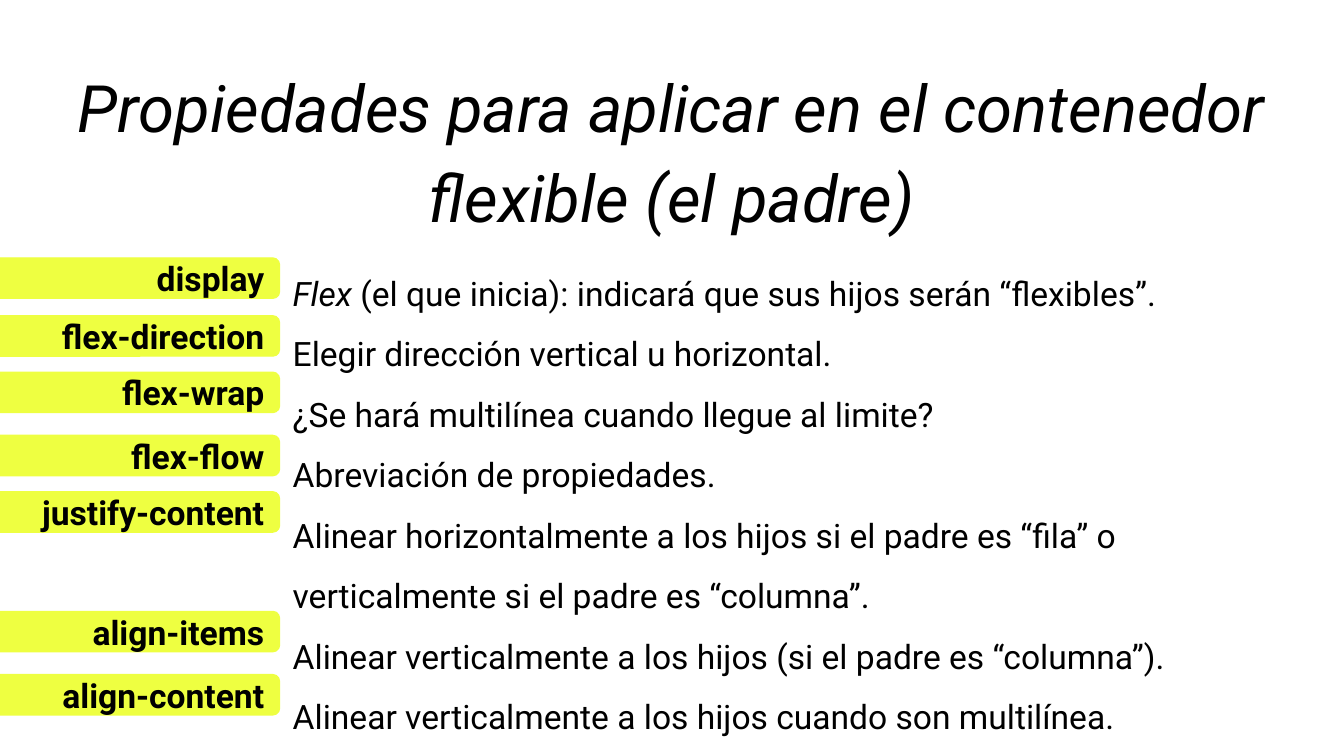
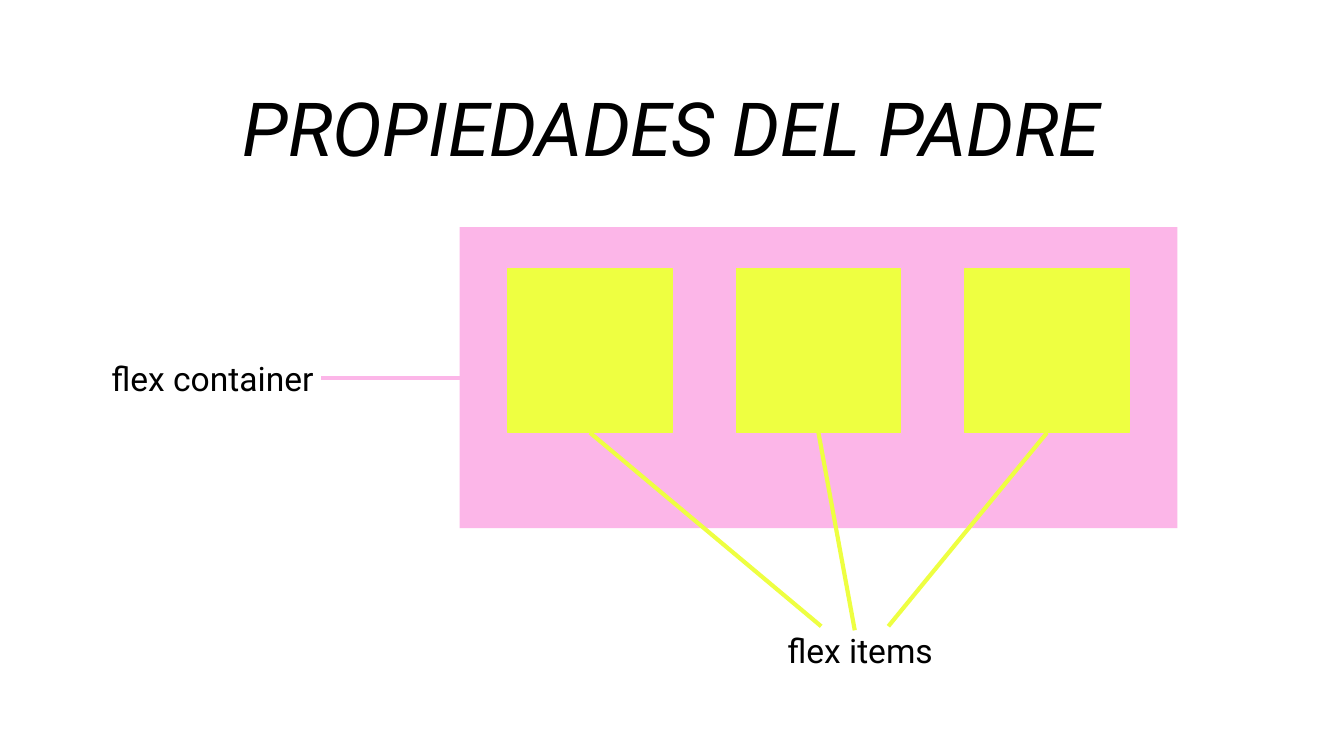
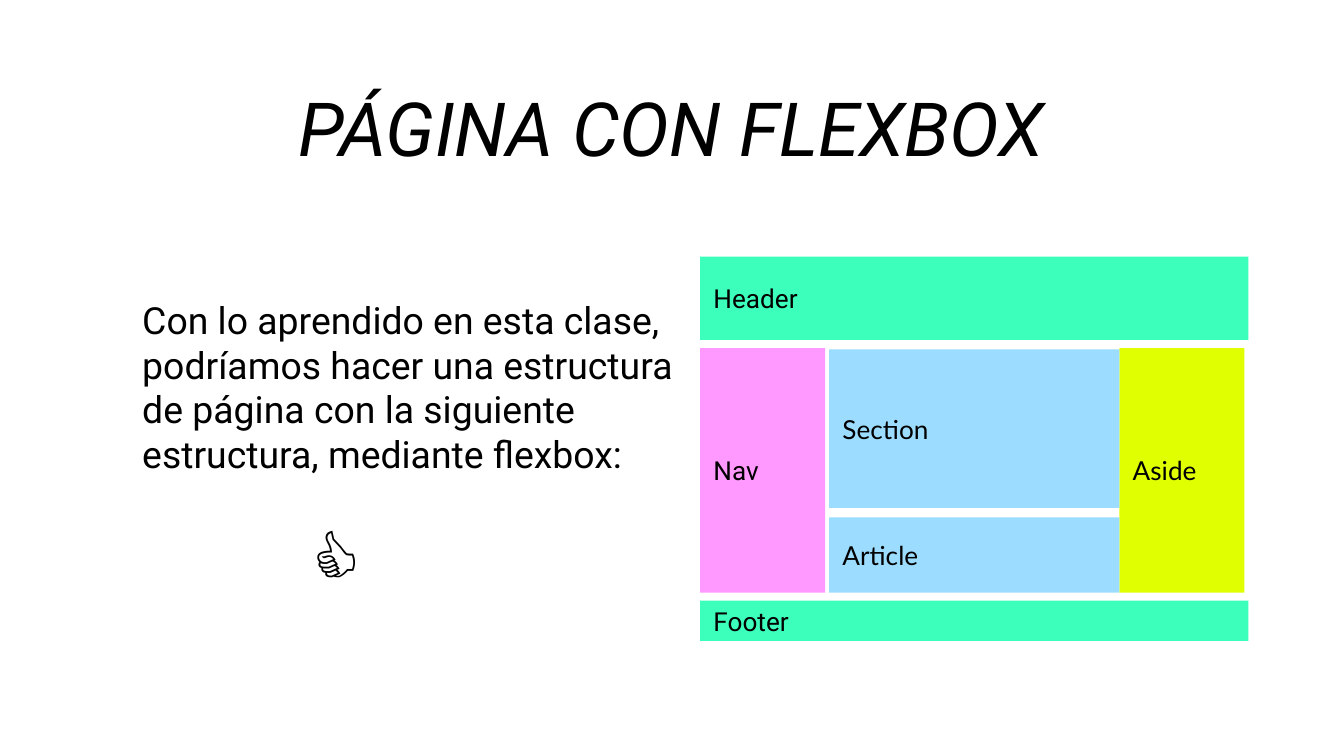
from lxml.etree import SubElement
from pptx import Presentation
from pptx.dml.color import RGBColor
from pptx.enum.shapes import MSO_CONNECTOR, MSO_SHAPE
from pptx.enum.text import MSO_ANCHOR, PP_ALIGN
from pptx.oxml.ns import qn
from pptx.util import Inches, Pt

BLACK = RGBColor(0x00, 0x00, 0x00)
LIME = RGBColor(0xEE, 0xFF, 0x41)
PINK = RGBColor(0xFC, 0xB6, 0xE8)
GREEN = RGBColor(0x3D, 0xFF, 0xBC)
BLUE = RGBColor(0x9C, 0xDC, 0xFE)
YELLOW = RGBColor(0xE0, 0xFF, 0x00)
MAGENTA = RGBColor(0xFF, 0x00, 0xFF)

SLIDE_WIDTH = Inches(10)
SLIDE_HEIGHT = SLIDE_WIDTH * 9 // 16
MARGIN = Inches(0.1)
LABEL_HEIGHT = 0.3
ITEM_SIDE = 1.22
ITEM_PITCH = 1.7

PROPERTIES = [
    ("display", 1.92),
    ("flex-direction", 2.35),
    ("flex-wrap", 2.77),
    ("flex-flow", 3.24),
    ("justify-content", 3.66),
    ("align-items", 4.55),
    ("align-content", 5.02),
]
DESCRIPTIONS = [
    [("Flex ", True), ("(el que inicia): indicará que sus hijos serán “flexibles”.", False)],
    "Elegir dirección vertical u horizontal.",
    "¿Se hará multilínea cuando llegue al limite?",
    "Abreviación de propiedades.",
    "Alinear horizontalmente a los hijos si el padre es “fila” o verticalmente "
    "si el padre es “columna”.",
    "Alinear verticalmente a los hijos (si el padre es “columna”).",
    "Alinear verticalmente a los hijos cuando son multilínea.",
]


def write_text(shape, paragraphs, size=18, font="Roboto", bold=False, italic=False,
               align=PP_ALIGN.LEFT, anchor=MSO_ANCHOR.TOP, spacing=None, after=None):
    """Fill a shape; a paragraph is a string or a list of (text, italic) spans."""
    frame = shape.text_frame
    frame.word_wrap = True
    frame.vertical_anchor = anchor
    frame.margin_left = frame.margin_right = MARGIN
    frame.margin_top = frame.margin_bottom = MARGIN
    for index, content in enumerate(paragraphs):
        para = frame.add_paragraph() if index else frame.paragraphs[0]
        para.alignment = align
        if spacing:
            para.line_spacing = spacing
        if after:
            para.space_after = Pt(after)
        spans = [(content, italic)] if isinstance(content, str) else content
        for text, slanted in spans:
            span = para.add_run()
            span.text = text
            span.font.name = font
            span.font.size = Pt(size)
            span.font.bold = bold
            span.font.italic = slanted
            span.font.color.rgb = BLACK


def add_text(page, left, top, width, height, *paragraphs, **style):
    box = page.shapes.add_textbox(Inches(left), Inches(top), Inches(width), Inches(height))
    write_text(box, paragraphs, **style)


def add_title(page, text, left=1.1, top=0.41, width=7.79, height=0.76, size=40, after=3):
    add_text(page, left, top, width, height, text, size=size, after=after,
             italic=True, align=PP_ALIGN.CENTER, spacing=1.15)


def add_block(page, left, top, width, height, color, outlined=False,
              kind=MSO_SHAPE.RECTANGLE):
    block = page.shapes.add_shape(kind, Inches(left), Inches(top),
                                  Inches(width), Inches(height))
    block.shadow.inherit = False
    block.fill.solid()
    block.fill.fore_color.rgb = color
    if outlined:
        block.line.color.rgb = color
        block.line.width = Pt(0.75)
    else:
        block.line.fill.background()
    return block


def set_opacity(shape, percent):
    color = shape._element.spPr.find(qn("a:solidFill"))[0]
    SubElement(color, qn("a:alpha")).set("val", str(percent * 1000))


def add_leader(page, block, side, end_x, end_y, color):
    """Draw a line from the middle of a block's side to a point."""
    leader = page.shapes.add_connector(MSO_CONNECTOR.STRAIGHT, block.left, block.top,
                                       Inches(end_x), Inches(end_y))
    leader.begin_connect(block, side)
    leader.line.color.rgb = color
    leader.line.width = Pt(2.25)
    SubElement(leader._element.spPr, qn("a:effectLst"))


def add_property_label(page, name, top):
    label = add_block(page, -0.6, top, 2.68, LABEL_HEIGHT, LIME, outlined=True,
                      kind=MSO_SHAPE.ROUNDED_RECTANGLE)
    write_text(label, [name], bold=True, align=PP_ALIGN.RIGHT, anchor=MSO_ANCHOR.MIDDLE)


def add_region(page, name, left, top, width, height, color, font="Roboto"):
    region = add_block(page, left, top, width, height, color)
    write_text(region, [name], size=14, font=font, anchor=MSO_ANCHOR.MIDDLE)
    return region


def build_properties(page):
    add_text(page, 2.08, 1.78, 7.76, 3.04, *DESCRIPTIONS, spacing=1.5)
    add_title(page, "Propiedades para aplicar en el contenedor flexible (el padre)",
              left=0, top=0.31, width=10, height=0.52, size=35, after=12)
    for name, top in PROPERTIES:
        add_property_label(page, name, top)


def build_container(page):
    add_title(page, "PROPIEDADES DEL PADRE")
    container = add_block(page, 3.42, 1.69, 5.34, 2.24, PINK)
    items = [add_block(page, 3.78 + ITEM_PITCH * column, 2, ITEM_SIDE, ITEM_SIDE, LIME,
                       outlined=True) for column in range(3)]
    for item, end in zip(items, [(6.11, 4.66), (6.36, 4.69), (6.61, 4.66)]):
        add_leader(page, item, 2, *end, LIME)
    add_text(page, 5.76, 4.59, 1.53, 0.5, "flex items")
    add_leader(page, container, 1, 2.39, 2.81, PINK)
    add_text(page, 0.73, 2.56, 1.82, 0.5, "flex container")


def build_layout(page):
    add_title(page, "PÁGINA CON FLEXBOX")
    add_text(page, 0.96, 2.11, 4.25, 1.26,
             "Con lo aprendido en esta clase, podríamos hacer una estructura de página "
             "con la siguiente estructura, mediante flexbox:", size=20)
    add_region(page, "Header", 5.21, 1.91, 4.08, 0.62, GREEN)
    nav = add_region(page, "Nav", 5.21, 2.59, 0.93, 1.82, MAGENTA)
    set_opacity(nav, 40)
    add_region(page, "Aside", 8.33, 2.59, 0.93, 1.82, YELLOW, font="Lato")
    add_region(page, "Article", 6.17, 3.85, 2.16, 0.56, BLUE, font="Lato")
    add_region(page, "Footer", 5.21, 4.47, 4.08, 0.3, GREEN)
    add_text(page, 2.22, 3.71, 1.3, 0.88, "👍", size=40, font="Arial")
    add_region(page, "Section", 6.17, 2.6, 2.16, 1.18, BLUE, font="Lato")


def main():
    deck = Presentation()
    deck.slide_width = SLIDE_WIDTH
    deck.slide_height = SLIDE_HEIGHT
    for build in (build_properties, build_container, build_layout):
        build(deck.slides.add_slide(deck.slide_layouts[6]))
    deck.save("out.pptx")


if __name__ == "__main__":
    main()
